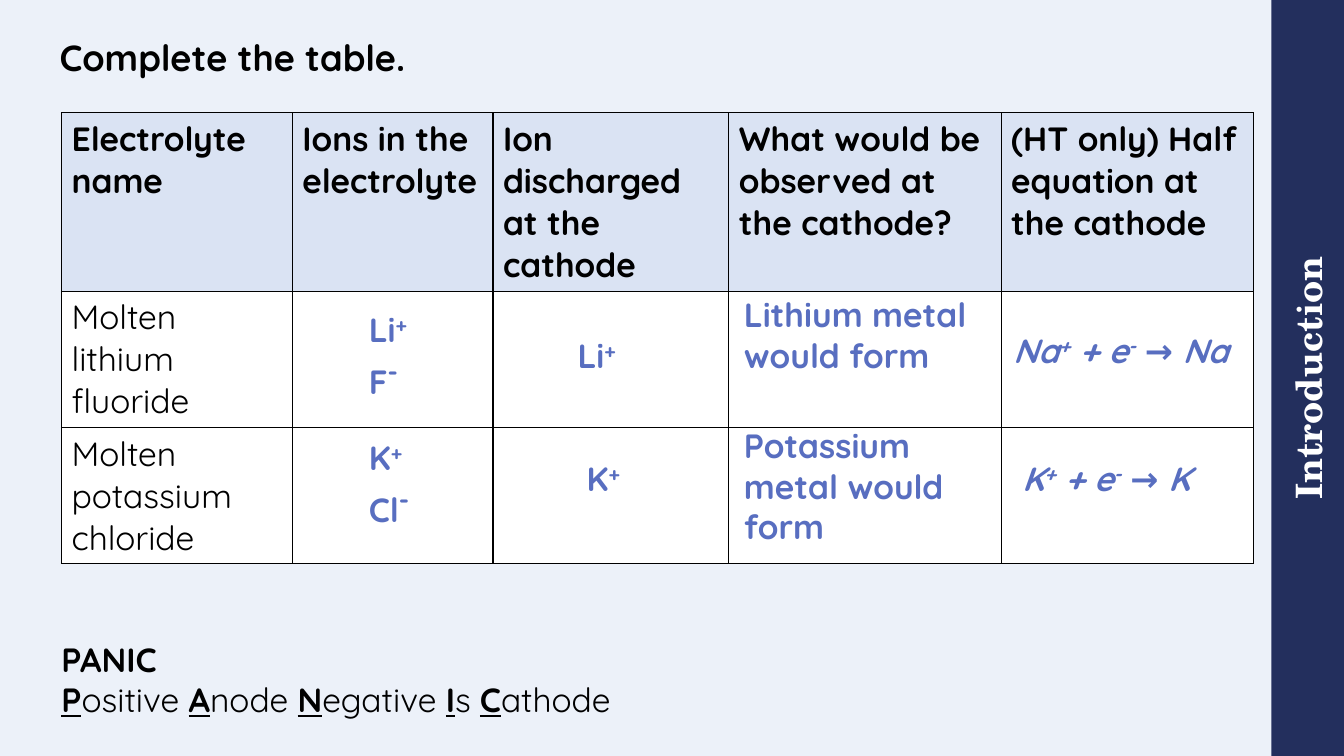
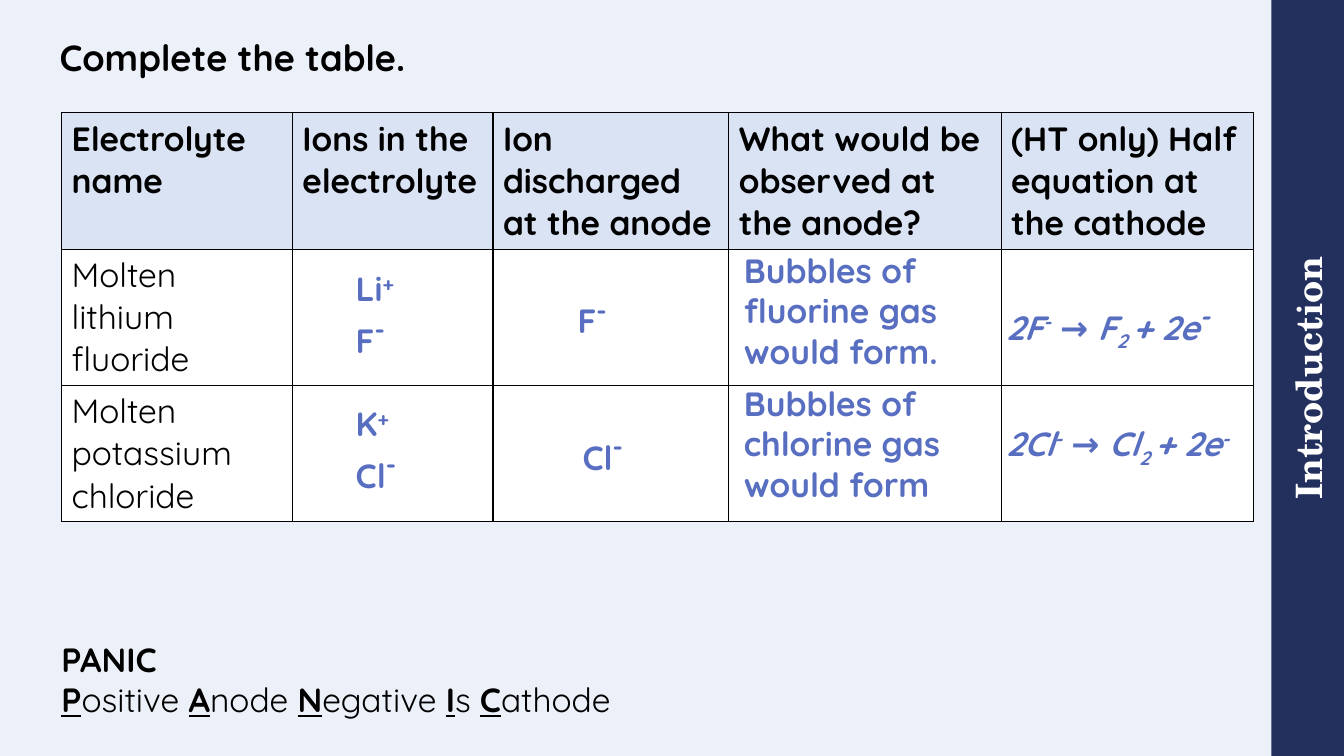
from dataclasses import dataclass
from itertools import accumulate

from lxml.etree import SubElement
from pptx import Presentation
from pptx.dml.color import RGBColor
from pptx.enum.shapes import MSO_SHAPE as Shape
from pptx.enum.text import MSO_ANCHOR as Anchor, MSO_AUTO_SIZE as AutoSize, PP_ALIGN as Align
from pptx.oxml.ns import qn
from pptx.util import Inches, Pt


@dataclass(frozen=True)
class Theme:
    """Colours, fonts, type sizes and slide measures."""
    page: str = "ECF1F9"
    band: str = "232F5D"
    header: str = "DAE3F3"
    paper: str = "FFFFFF"
    ink: str = "000000"
    answer: str = "586EC0"
    body_font: str = "Quicksand"
    band_font: str = "TeX Gyre Schola"
    title_size: int = 26
    body_size: int = 24
    charge_size: int = 32
    width: float = 13.33
    height: float = 7.5
    band_width: float = 0.72


THEME = Theme()
COLUMNS = (2.29, 1.99, 2.34, 2.7, 2.5)
ANSWER_WIDTHS = (1.03, 1.03, 2.46, 2.68)
TABLE_LEFT, TABLE_TOP = 0.61, 1.12
ELECTROLYTES = ("Molten lithium fluoride", "Molten potassium chloride")


@dataclass(frozen=True)
class Piece:
    """A stretch of text with one look."""
    text: str
    baseline: int = 0
    size: int = THEME.body_size
    initial: bool = False


@dataclass(frozen=True)
class Answer:
    """Answer lines with their offset from the table cell."""
    paragraphs: tuple
    dx: float
    dy: float
    lines: int = 1
    italic: bool = False


PLUS = Piece("+", 30)
MINUS = Piece("-", 30)
WIDE_MINUS = Piece("-", 30, THEME.charge_size)
PAIR = Piece("2 ", -25)
LITHIUM = (Piece("Li"), PLUS)
FLUORIDE = (Piece("F"), WIDE_MINUS)
POTASSIUM = (Piece("K"), PLUS)
CHLORIDE = (Piece("Cl"), WIDE_MINUS)


def ions(cation, anion, dx, dy):
    """Return the answer that lists both ions."""
    return Answer((cation, anion), dx, dy, 2)


def observed(text, dy, lines=3):
    """Return the answer that tells what is seen."""
    return Answer(((Piece(text),),), 0.05, dy, lines)


def equation(dx, dy, *pieces):
    """Return the half equation as an answer."""
    return Answer((pieces,), dx, dy, italic=True)


def reduction(metal, dx, dy):
    """Return the half equation of a metal ion."""
    return equation(dx, dy, Piece(metal), PLUS, Piece(" + e"), MINUS, Piece(f" → {metal}"))


def oxidation(halogen, dx, dy, last_charge):
    """Return the half equation of a halide ion."""
    return equation(dx, dy, Piece(f"2{halogen}"), MINUS, Piece(f" → {halogen}"),
                    PAIR, Piece("+ 2e"), last_charge)


CATHODE_ANSWERS = (
    (ions(LITHIUM, FLUORIDE, 0.66, 0.13), Answer((LITHIUM,), 0.74, 0.38),
     observed("Lithium metal would form", -0.02, 2), reduction("Na", 0.02, 0.33)),
    (ions(POTASSIUM, CHLORIDE, 0.66, 0.05), Answer((POTASSIUM,), 0.83, 0.25),
     observed("Potassium metal would form", -0.07), reduction("K", 0.11, 0.25)),
)
ANODE_ANSWERS = (
    (ions(LITHIUM, FLUORIDE, 0.53, 0.14), Answer((FLUORIDE,), 0.74, 0.35),
     observed("Bubbles of fluorine gas would form.", -0.04),
     oxidation("F", -0.05, 0.41, WIDE_MINUS)),
    (ions(POTASSIUM, CHLORIDE, 0.53, 0.13), Answer((CHLORIDE,), 0.79, 0.35),
     observed("Bubbles of chlorine gas would form", -0.07),
     oxidation("Cl", -0.05, 0.33, MINUS)),
)


def box(left, top, width, height):
    """Turn a box in inches into slide lengths."""
    return tuple(Inches(length) for length in (left, top, width, height))


def style(font, size=THEME.body_size, color=THEME.ink, bold=False, name=THEME.body_font):
    """Set the look of a font."""
    font.name, font.size, font.bold = name, Pt(size), bold
    font.color.rgb = RGBColor.from_string(color)


def strip_margins(frame):
    """Take away the inner margins of a text frame."""
    frame.margin_left = frame.margin_right = frame.margin_top = frame.margin_bottom = 0


def write_pieces(paragraph, pieces):
    """Write pieces as runs that differ only where needed."""
    for piece in pieces:
        run = paragraph.add_run()
        run.text = piece.text
        if piece.size != THEME.body_size:
            run.font.size = Pt(piece.size)
        if piece.baseline:
            run._r.get_or_add_rPr().set("baseline", str(piece.baseline * 1000))
        if piece.initial:
            run.font.bold = run.font.underline = True


def add_text(slide, area, paragraphs):
    """Add a wrapping text box and return its paragraphs."""
    frame = slide.shapes.add_textbox(*box(*area)).text_frame
    frame.word_wrap = True
    frame.auto_size = AutoSize.SHAPE_TO_FIT_TEXT
    for index, pieces in enumerate(paragraphs):
        paragraph = frame.add_paragraph() if index else frame.paragraphs[0]
        write_pieces(paragraph, pieces)
    return frame.paragraphs


def add_band(slide, text):
    """Stand the section band along the right edge."""
    left = THEME.width - (THEME.band_width + THEME.height) / 2
    top = (THEME.height - THEME.band_width) / 2
    band = slide.shapes.add_shape(
        Shape.RECTANGLE, *box(left, top, THEME.height, THEME.band_width))
    band.rotation = 270
    band.shadow.inherit = False
    band.fill.solid()
    band.fill.fore_color.rgb = RGBColor.from_string(THEME.band)
    band.line.fill.background()
    strip_margins(band.text_frame)
    band.text_frame.vertical_anchor = Anchor.MIDDLE
    section = band.text_frame.paragraphs[0]
    section.text, section.alignment = text, Align.CENTER
    style(section.font, THEME.title_size, THEME.paper, True, THEME.band_font)


def set_title(slide, text):
    """Place and format the slide title."""
    title = slide.shapes.title
    title.left, title.top, title.width, title.height = box(0.59, 0, 11.61, 0.79)
    strip_margins(title.text_frame)
    title.text_frame.vertical_anchor = Anchor.BOTTOM
    heading = title.text_frame.paragraphs[0]
    heading.text, heading.alignment, heading.line_spacing = text, Align.LEFT, 0.9
    style(heading.font, THEME.title_size, bold=True)


def format_cell(cell, text, fill, bold):
    """Give a cell its borders, fill and text."""
    properties = cell._tc.get_or_add_tcPr()
    for side in ("a:lnL", "a:lnR", "a:lnT", "a:lnB"):
        border = SubElement(properties, qn(side), w=str(Pt(1)))
        SubElement(SubElement(border, qn("a:solidFill")), qn("a:srgbClr"), val=THEME.ink)
    cell.fill.solid()
    cell.fill.fore_color.rgb = RGBColor.from_string(fill)
    cell.text = text
    style(cell.text_frame.paragraphs[0].font, bold=bold)


def add_electrolyte_table(slide, left, top, heights, electrode):
    """Add the table with its headings and electrolytes."""
    headings = ("Electrolyte name", "Ions in the electrolyte",
                f"Ion discharged at the {electrode}",
                f"What would be observed at the {electrode}?",
                "(HT only) Half equation at the cathode")
    rows = [headings] + [(name, "", "", "", "") for name in ELECTROLYTES]
    table = slide.shapes.add_table(
        len(rows), len(COLUMNS), *box(left, top, sum(COLUMNS), sum(heights))).table
    for column, width in zip(table.columns, COLUMNS):
        column.width = Inches(width)
    for index, (row, height, texts) in enumerate(zip(table.rows, heights, rows)):
        row.height = Inches(height)
        fill = THEME.paper if index else THEME.header
        for cell, text in zip(row.cells, texts):
            format_cell(cell, text, fill, index == 0)


def add_answers(slide, left, top, heights, answers):
    """Lay the answers over the empty table cells."""
    lefts = list(accumulate(COLUMNS[:-1], initial=left))[1:]
    tops = list(accumulate(heights[:-1], initial=top))[1:]
    for row_top, row in zip(tops, answers):
        for cell_left, width, answer in zip(lefts, ANSWER_WIDTHS, row):
            area = (cell_left + answer.dx, row_top + answer.dy,
                    width, 0.1 + 0.4 * answer.lines)
            for paragraph in add_text(slide, area, answer.paragraphs):
                style(paragraph.font, color=THEME.answer, bold=True)
                paragraph.font.italic = answer.italic


def add_mnemonic(slide, left, top):
    """Spell out the PANIC reminder."""
    words = ("Positive ", "Anode ", "Negative ", "Is ", "Cathode")
    spelled = [piece for word in words
               for piece in (Piece(word[0], initial=True), Piece(word[1:]))]
    name, meaning = add_text(slide, (left, top, 6.1, 0.91), ([Piece("PANIC")], spelled))
    style(name.font, bold=True)
    style(meaning.font)


def add_electrode_slide(deck, electrode, header_height, answers):
    """Add one table slide for an electrode."""
    slide = deck.slides.add_slide(deck.slide_layouts[5])
    heights = (header_height, 1.35, 1.35)
    add_band(slide, "Introduction")
    set_title(slide, "Complete the table.")
    add_electrolyte_table(slide, TABLE_LEFT, TABLE_TOP, heights, electrode)
    add_answers(slide, TABLE_LEFT, TABLE_TOP, heights, answers)
    add_mnemonic(slide, 0.51, 6.29)


def main():
    """Build and save the deck."""
    deck = Presentation()
    deck.slide_width, deck.slide_height = Inches(THEME.width), Inches(THEME.height)
    page = deck.slide_master.background.fill
    page.solid()
    page.fore_color.rgb = RGBColor.from_string(THEME.page)
    add_electrode_slide(deck, "cathode", 1.77, CATHODE_ANSWERS)
    add_electrode_slide(deck, "anode", 1.35, ANODE_ANSWERS)
    deck.save("out.pptx")


if __name__ == "__main__":
    main()
